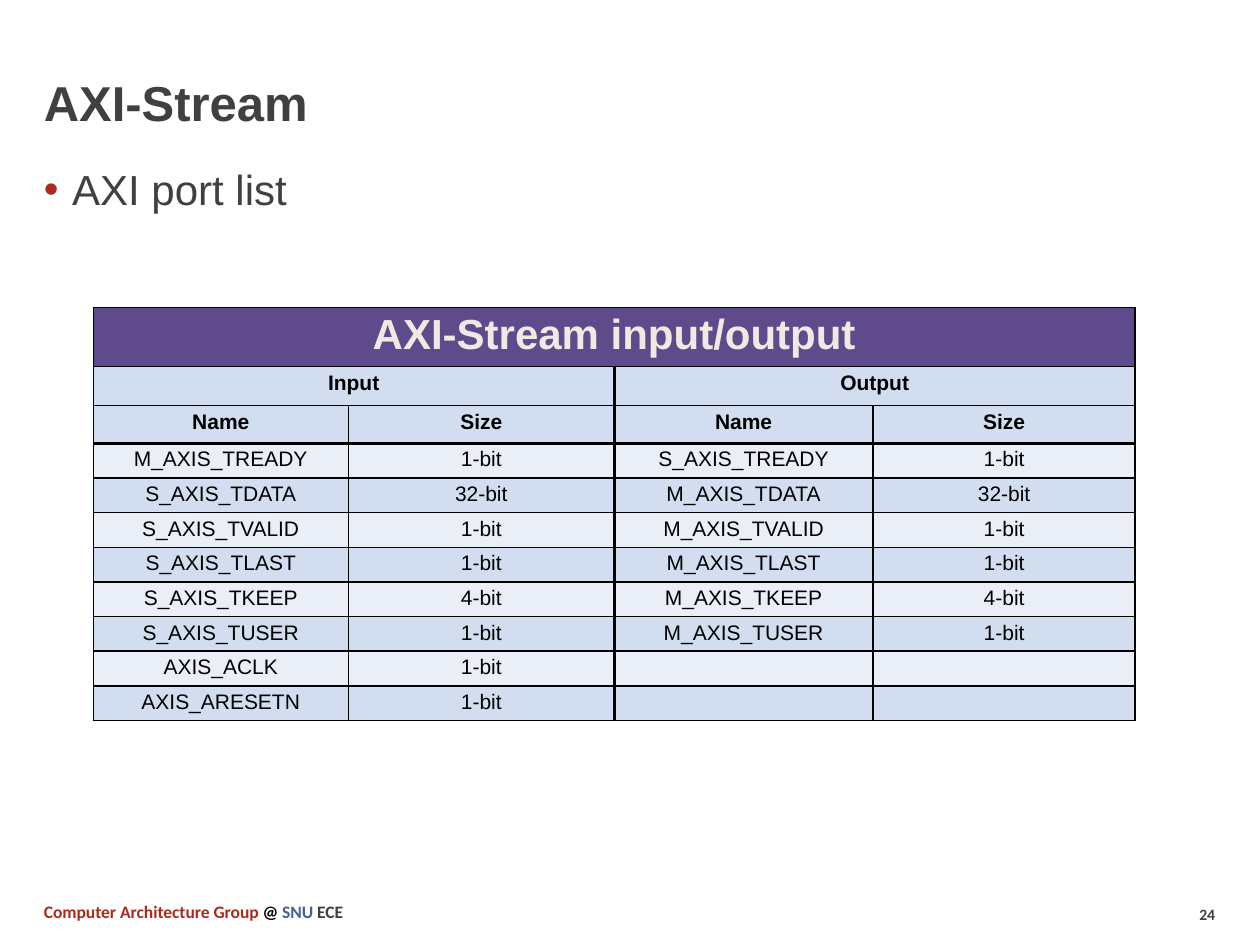
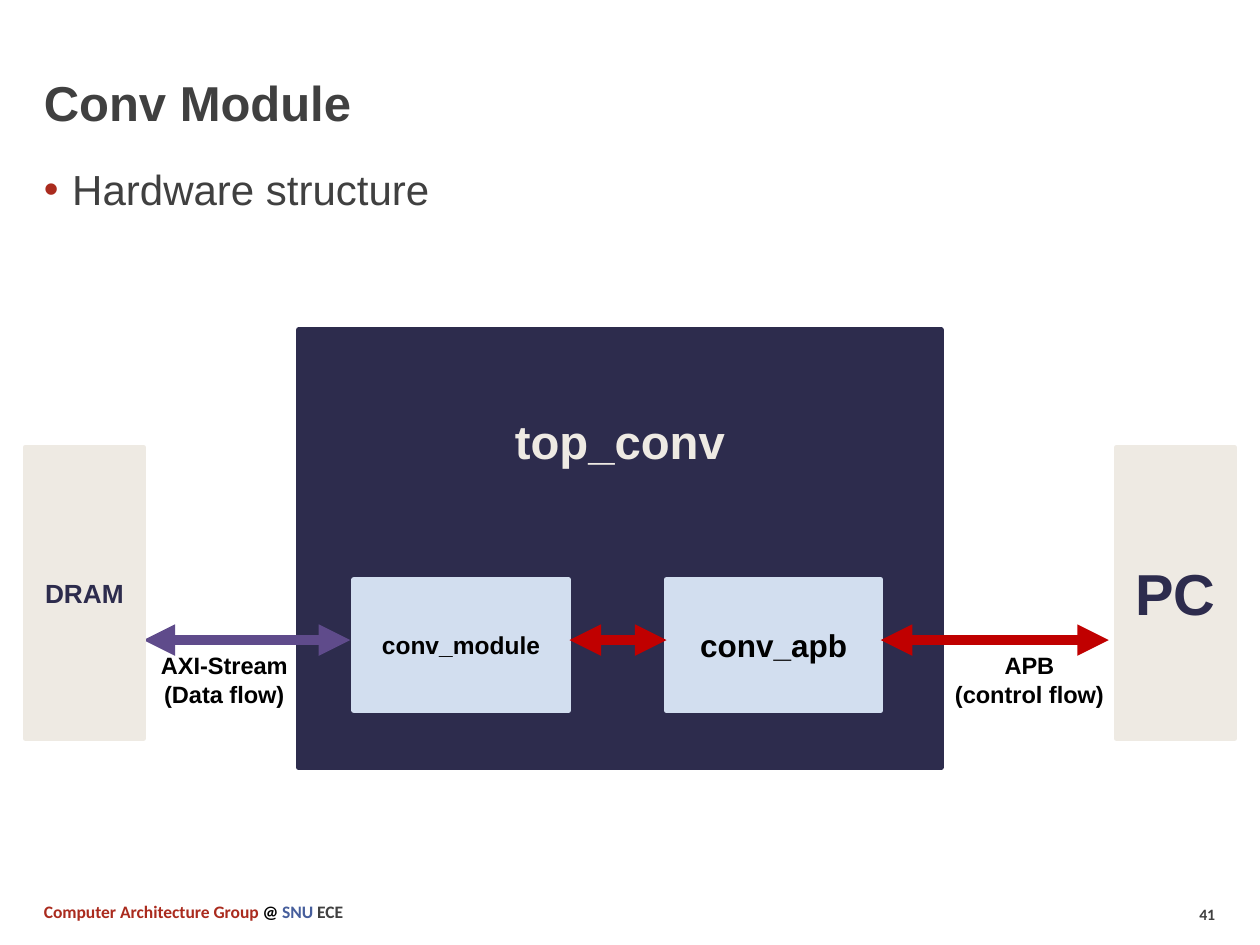
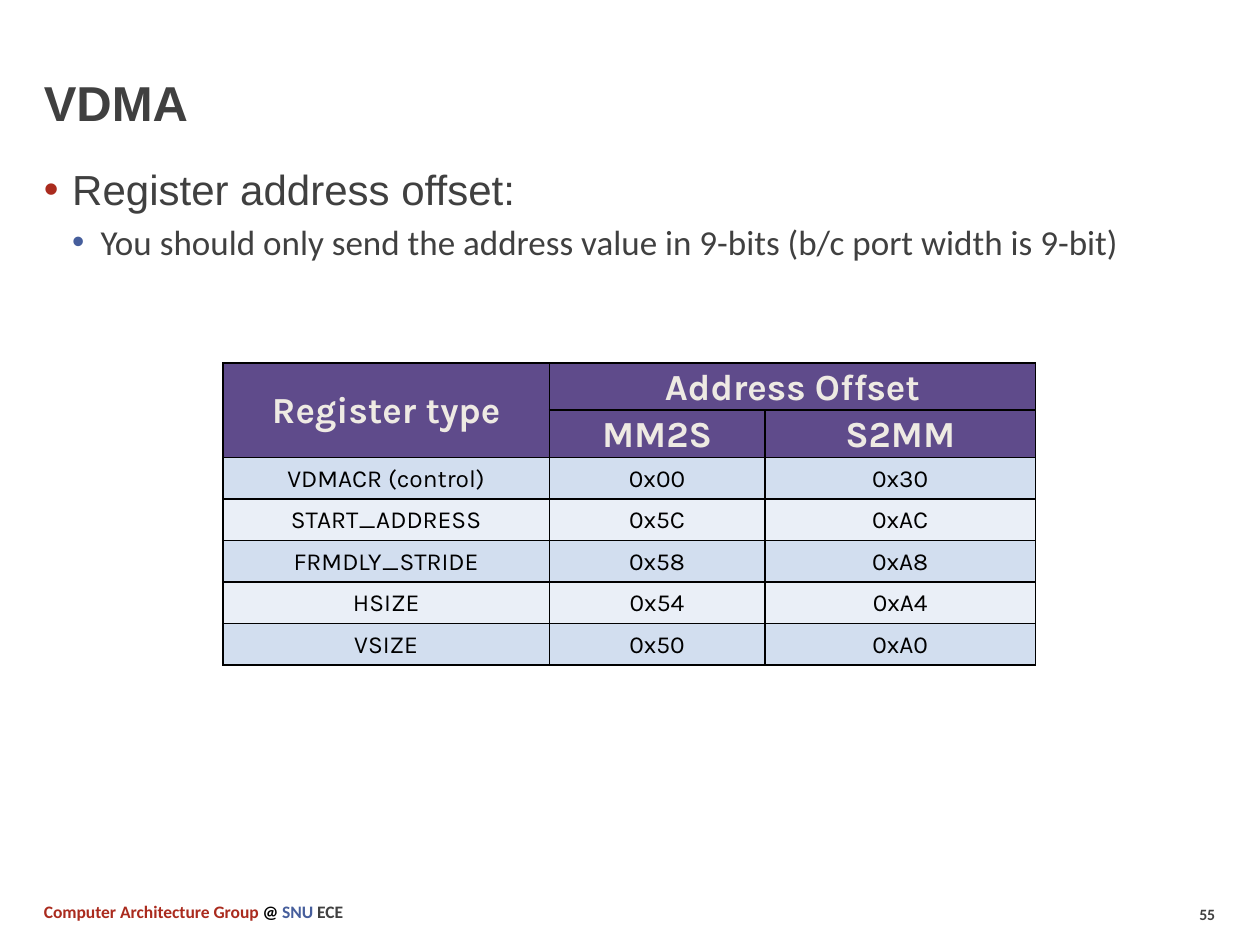
"""Build three slides on AXI-Stream ports, the conv module and VDMA registers."""
from lxml.etree import SubElement
from pptx import Presentation
from pptx.dml.color import RGBColor
from pptx.enum.shapes import MSO_CONNECTOR as CONN, MSO_SHAPE as SHAPE
from pptx.enum.text import MSO_ANCHOR as ANCHOR, PP_ALIGN as ALIGN
from pptx.oxml.ns import qn
from pptx.util import Inches, Pt

PX = Inches(1) // 200
BLACK = RGBColor(0x00, 0x00, 0x00)
GRAY = RGBColor(0x40, 0x40, 0x40)
RED = RGBColor(0xAA, 0x2B, 0x1E)
BLUE = RGBColor(0x46, 0x5E, 0x9C)
PURPLE = RGBColor(0x5F, 0x4B, 0x8B)
CREAM = RGBColor(0xEE, 0xEA, 0xE3)
NAVY = RGBColor(0x2D, 0x2C, 0x4D)
CRIMSON = RGBColor(0xC0, 0x00, 0x00)
PALE = RGBColor(0xD2, 0xDE, 0xEF)
PALER = RGBColor(0xEA, 0xEF, 0xF7)

FOOTER = [("Computer Architecture Group ", RED), ("@ ", BLACK), ("SNU ", BLUE), ("ECE", GRAY)]
BULLETS = [
    dict(left=45, space=4.5, color=RED, size=24, name="Arial"),
    dict(left=90, space=3.8, color=BLUE, size=20, name="Calibri"),
]


class Deck:
    def __init__(self):
        self.prs = Presentation()
        self.prs.slide_width, self.prs.slide_height = 2000 * PX, 1500 * PX

    def slide(self, title, number, bullets, body_h=1134):
        self.s = self.prs.slides.add_slide(self.prs.slide_layouts[6])
        self.text((1884, 1426, 134, 50), [(str(number), GRAY)], size=9, name="Calibri", bold=True)
        self.text((50, 1420, 1008, 54), FOOTER, size=10, name="Calibri", bold=True)
        self.text((50, 34, 1850, 184), [(title, GRAY)], anchor=ANCHOR.BOTTOM, size=28, bold=True)
        self.bullets((50, 250, 1900, body_h), bullets)

    def box(self, at):
        tf = self.s.shapes.add_textbox(*(v * PX for v in at)).text_frame
        tf.word_wrap = True
        return tf

    def runs(self, p, runs, size, name="Arial", bold=False):
        for text, color in runs:
            for i, line in enumerate(text.split("\n")):
                if i:
                    p.add_line_break()
                r = p.add_run()
                r.text = line
                r.font.color.rgb = color
                for key, value in dict(size=Pt(size), name=name, bold=bold).items():
                    setattr(r.font, key, value)

    def text(self, at, runs, align=ALIGN.LEFT, anchor=ANCHOR.TOP, side=20, **fmt):
        tf = self.box(at)
        tf.vertical_anchor = anchor
        tf.margin_left = tf.margin_right = side * PX
        p = tf.paragraphs[0]
        p.alignment = align
        self.runs(p, runs, **fmt)

    def bullets(self, at, lines):
        tf = self.box(at)
        for level, line in enumerate(lines):
            p = tf.paragraphs[0] if level == 0 else tf.add_paragraph()
            style = BULLETS[level]
            p.level = level
            p.space_before = Pt(style["space"])
            pPr = p._p.get_or_add_pPr()
            pPr.set("marL", str(style["left"] * PX))
            pPr.set("indent", str(-45 * PX))
            SubElement(SubElement(pPr, qn("a:buClr")), qn("a:srgbClr"), val=str(style["color"]))
            SubElement(pPr, qn("a:buFont"), typeface="Arial")
            SubElement(pPr, qn("a:buChar"), char="•")
            self.runs(p, [(line, GRAY)], style["size"], style["name"])

    def block(self, at, text, size, fill, color, top=None):
        sp = self.s.shapes.add_shape(SHAPE.RECTANGLE, *(v * PX for v in at))
        sp.shadow.inherit = False
        sp.fill.solid()
        sp.fill.fore_color.rgb = sp.line.color.rgb = fill
        sp.line.width = Pt(3)
        tf = sp.text_frame
        tf.word_wrap = True
        tf.vertical_anchor = ANCHOR.MIDDLE
        if top is not None:
            tf.vertical_anchor, tf.margin_top = ANCHOR.TOP, top * PX
        tf.paragraphs[0].alignment = ALIGN.CENTER
        self.runs(tf.paragraphs[0], [(text, color)], size, bold=True)

    def arrow(self, x1, x2, y, color):
        cn = self.s.shapes.add_connector(CONN.STRAIGHT, x1 * PX, y * PX, x2 * PX, y * PX)
        cn.line.color.rgb, cn.line.width = color, Pt(6)
        ln = cn.line._get_or_add_ln()
        for end in ("a:headEnd", "a:tailEnd"):
            SubElement(ln, qn(end), type="triangle")
        SubElement(cn._element.spPr, qn("a:effectLst"))

    def border(self, cell, widths):
        tcPr = cell._tc.get_or_add_tcPr()
        for i, (side, width) in enumerate(widths.items()):
            ln = tcPr.makeelement(qn(f"a:ln{side}"), {"w": str(Pt(width))})
            SubElement(SubElement(ln, qn("a:solidFill")), qn("a:srgbClr"), val=str(BLACK))
            tcPr.insert(i, ln)

    def table(self, at, cols, heights, rows, merges, heads, head_size, size, subheads=0,
              name="Arial", anchor=ANCHOR.TOP, insets=(14, 7), spacing=1.0, thick=()):
        frame = self.s.shapes.add_table(len(rows), len(cols), *(v * PX for v in at),
                                        sum(cols) * PX, sum(heights) * PX)
        tbl = frame.table
        tbl.first_row = tbl.horz_banding = False
        for lines, sizes, key in ((tbl.columns, cols, "width"), (tbl.rows, heights, "height")):
            for line, length in zip(lines, sizes):
                setattr(line, key, length * PX)
        for r1, c1, r2, c2 in merges:
            tbl.cell(r1, c1).merge(tbl.cell(r2, c2))
        split_row, split_col = thick or (None, None)
        body = heads + subheads
        for r, row in enumerate(rows):
            head = r < heads
            fill = PURPLE if head else PALER if r >= body and r % 2 else PALE
            font_size = head_size if head else size
            for c, text in enumerate(row):
                cell = tbl.cell(r, c)
                cell.fill.solid()
                cell.fill.fore_color.rgb = fill
                cell.vertical_anchor = anchor
                cell.margin_left = cell.margin_right = insets[0] * PX
                cell.margin_top = cell.margin_bottom = insets[1] * PX
                p = cell.text_frame.paragraphs[0]
                p.alignment, p.line_spacing = ALIGN.CENTER, spacing
                if text:
                    self.runs(p, [(text, CREAM if head else BLACK)], font_size, name, r < body)
                else:
                    SubElement(p._p, qn("a:endParaRPr"), sz=str(font_size * 100))
                edges = dict(L=not head and c == split_col, R=not head and c + 1 == split_col,
                             T=r == split_row, B=r + 1 == split_row)
                self.border(cell, {k: 2.25 if wide else 1 for k, wide in edges.items()})


def axi_stream(deck):
    deck.slide("AXI-Stream", 24, ["AXI port list"])
    signals = [("TDATA", "32-bit"), ("TVALID", "1-bit"), ("TLAST", "1-bit"),
               ("TKEEP", "4-bit"), ("TUSER", "1-bit")]
    rows = [
        ("AXI-Stream input/output", "", "", ""),
        ("Input", "", "Output", ""),
        ("Name", "Size") * 2,
        ("M_AXIS_TREADY", "1-bit", "S_AXIS_TREADY", "1-bit"),
        *((f"S_AXIS_{n}", bits, f"M_AXIS_{n}", bits) for n, bits in signals),
        ("AXIS_ACLK", "1-bit", "", ""),
        ("AXIS_ARESETN", "1-bit", "", ""),
    ]
    deck.table((148, 488), (405, 422, 411, 416), (94, 62, 60) + (55,) * 8, rows,
               [(0, 0, 0, 3), (1, 0, 1, 1), (1, 2, 1, 3)],
               heads=1, subheads=2, head_size=24, size=12, thick=(3, 2))


def conv_module(deck):
    deck.slide("Conv Module", 41, ["Hardware structure"], body_h=162)
    deck.block((474, 524, 1020, 694), "top_conv", 27, NAVY, CREAM, top=131)
    for x, label, size in ((562, "conv_module", 14), (1058, "conv_apb", 18)):
        deck.block((x, 920, 340, 208), label, size, PALE, BLACK)
    for x1, x2, color in ((904, 1058, CRIMSON), (228, 556, PURPLE), (1398, 1760, CRIMSON)):
        deck.arrow(x1, x2, 1016, color)
    for x, label in ((218, "AXI-Stream\n(Data flow)"), (1496, "APB\n(control flow)")):
        deck.text((x, 1024, 276, 112), [(label, BLACK)], align=ALIGN.CENTER, side=5,
                  size=13.5, bold=True)
    for x, label, size in ((1772, "PC", 33), (40, "DRAM", 15)):
        deck.block((x, 710, 188, 462), label, size, CREAM, NAVY)


def vdma(deck):
    deck.slide("VDMA", 55, [
        "Register address offset:",
        "You should only send the address value in 9-bits (b/c port width is 9-bit)",
    ])
    rows = [
        ("Register type", "Address Offset", ""),
        ("", "MM2S", "S2MM"),
        ("VDMACR (control)", "0x00", "0x30"),
        ("START_ADDRESS", "0x5C", "0xAC"),
        ("FRMDLY_STRIDE", "0x58", "0xA8"),
        ("HSIZE", "0x54", "0xA4"),
        ("VSIZE", "0x50", "0xA0"),
    ]
    deck.table((354, 576), (518, 342, 430), (75,) * 2 + (66,) * 5, rows,
               [(0, 0, 1, 0), (0, 1, 0, 2)], heads=2, head_size=21, size=14,
               name="Karla", anchor=ANCHOR.MIDDLE, insets=(12, 0), spacing=1.07)


def main():
    deck = Deck()
    for build in (axi_stream, conv_module, vdma):
        build(deck)
    deck.prs.save("out.pptx")


if __name__ == "__main__":
    main()
